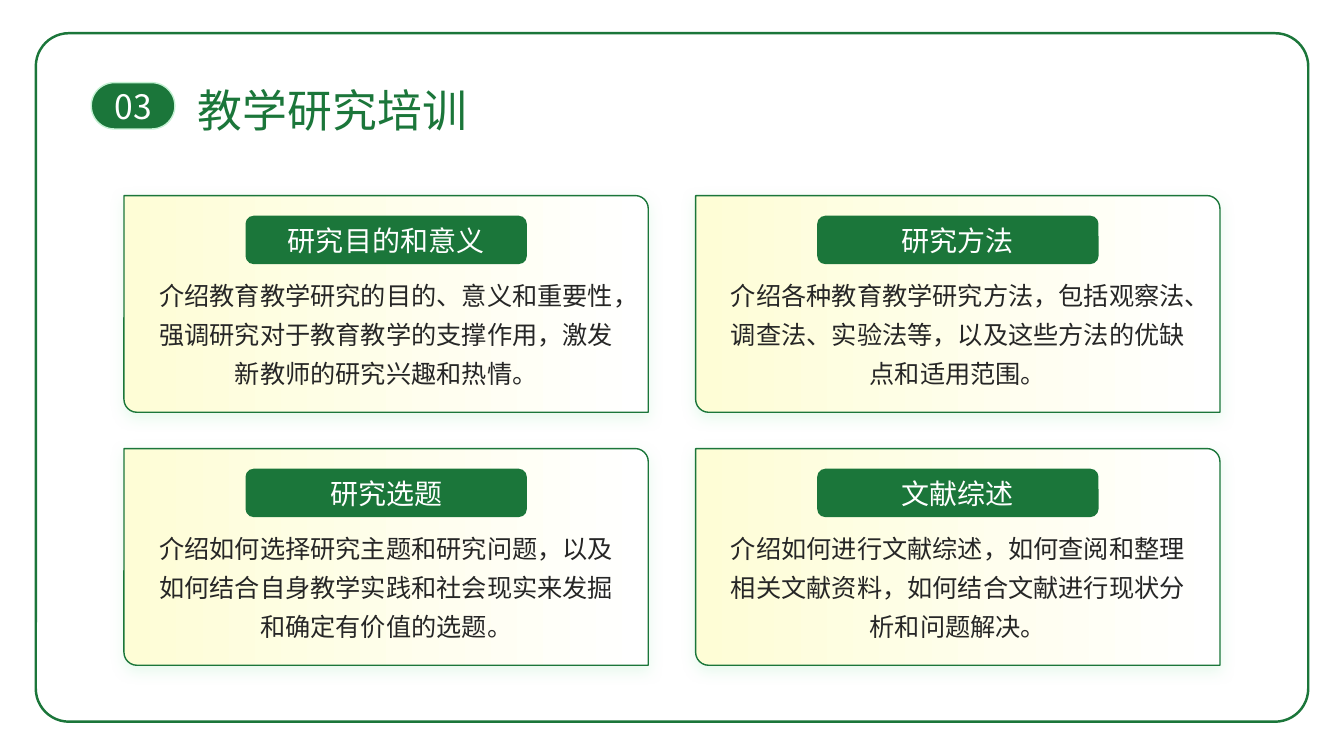
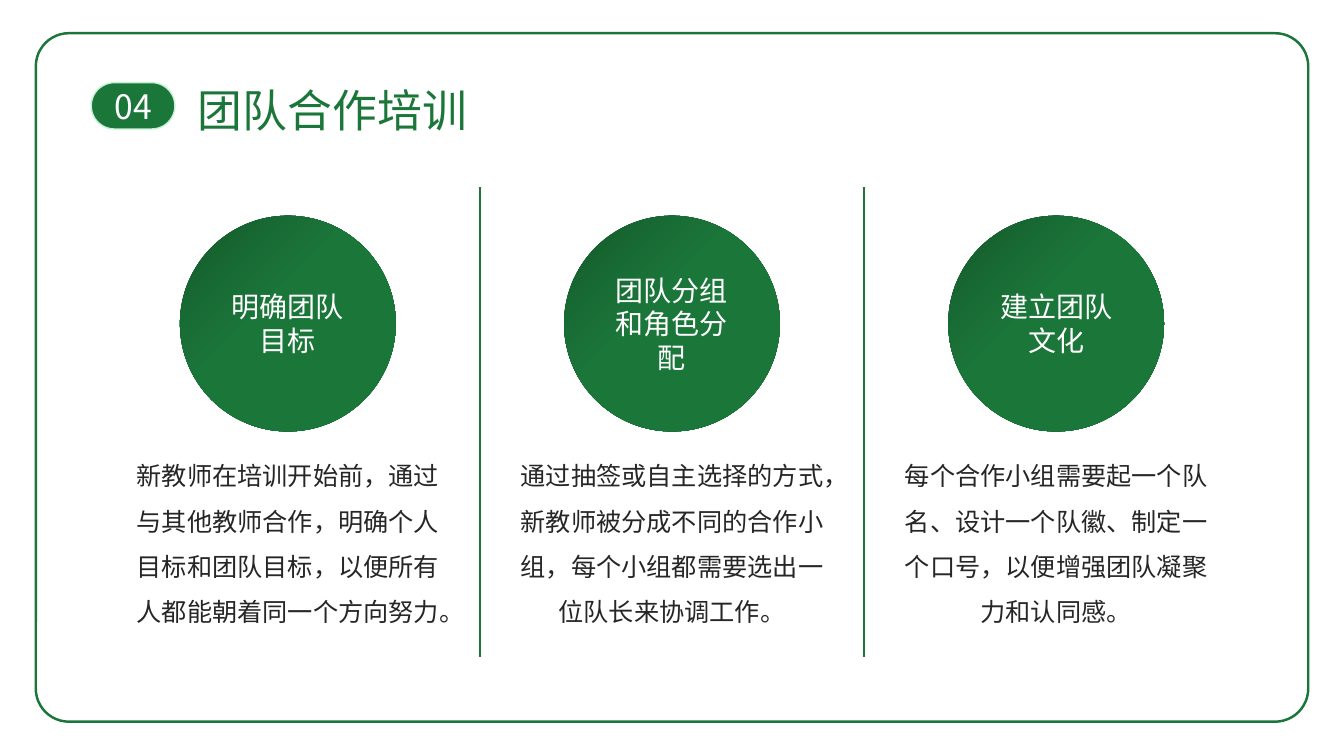
from lxml.etree import SubElement as Sub
from pptx import Presentation
from pptx.dml.color import RGBColor
from pptx.enum.shapes import MSO_CONNECTOR as Link, MSO_SHAPE as Kind
from pptx.enum.text import MSO_ANCHOR as Anchor, MSO_AUTO_SIZE as Auto, PP_ALIGN as Align
from pptx.oxml.ns import qn
from pptx.util import Inches, Pt

GREEN = RGBColor(0x1B, 0x76, 0x3A)
DARK = RGBColor(0x14, 0x59, 0x2B)
MINT = RGBColor(0xC4, 0xF1, 0xD3)
CREAM = RGBColor(0xFE, 0xFD, 0xD6)
WHITE = RGBColor(0xFF, 0xFF, 0xFF)
INK = RGBColor(0x26, 0x26, 0x26)
FONT = "Noto Sans CJK SC"

WIDE, HIGH = 13.33, 7.5
MID = WIDE / 2
CARD_COL, CARD_ROW = 5.67, 2.51
TEAM_COL = 3.81

CARDS = [
    ("研究目的和意义", "介绍教育教学研究的目的、意义和重要性，强调研究对于教育教学的支撑作用，激发新教师的研究兴趣和热情。"),
    ("研究方法", "介绍各种教育教学研究方法，包括观察法、调查法、实验法等，以及这些方法的优缺点和适用范围。"),
    ("研究选题", "介绍如何选择研究主题和研究问题，以及如何结合自身教学实践和社会现实来发掘和确定有价值的选题。"),
    ("文献综述", "介绍如何进行文献综述，如何查阅和整理相关文献资料，如何结合文献进行现状分析和问题解决。"),
]
TEAMS = [
    ("明确团队目标", "新教师在培训开始前，通过与其他教师合作，明确个人目标和团队目标，以便所有人都能朝着同一个方向努力。"),
    ("团队分组和角色分配", "通过抽签或自主选择的方式，新教师被分成不同的合作小组，每个小组都需要选出一位队长来协调工作。"),
    ("建立团队文化", "每个合作小组需要起一个队名、设计一个队徽、制定一个口号，以便增强团队凝聚力和认同感。"),
]


def area(mid, top, wide, high):
    return [Inches(n) for n in (mid - wide / 2, top, wide, high)]


def write(box, text, size, color, align=Align.CENTER, gap=None):
    frame = box.text_frame
    frame.word_wrap = True
    para = frame.paragraphs[0]
    para.text = text
    para.alignment = align
    para.line_spacing = gap
    font = para.font
    font.size, font.name = Pt(size), FONT
    font.color.rgb = color
    for props in box.element.iter(qn("a:defRPr")):
        Sub(props, qn("a:ea"), typeface=FONT)


def note(slide, place, text, size, color, **style):
    box = slide.shapes.add_textbox(*place)
    write(box, text, size, color, **style)
    box.text_frame.auto_size = Auto.SHAPE_TO_FIT_TEXT


def shape(slide, kind, place, fill=GREEN, line=None, width=1, bends=()):
    item = slide.shapes.add_shape(kind, *place)
    item.shadow.inherit = False
    item.fill.solid()
    item.fill.fore_color.rgb = fill
    if line is None:
        item.line.fill.background()
    else:
        item.line.color.rgb = line
        item.line.width = Pt(width)
    for i, bend in enumerate(bends):
        item.adjustments[i] = bend
    return item


def label(slide, kind, place, text, size=20, **style):
    item = shape(slide, kind, place, **style)
    write(item, text, size, WHITE)
    item.text_frame.vertical_anchor = Anchor.MIDDLE
    return item


def blend(item, *stops):
    item.fill.gradient()
    for stop, (spot, color) in zip(item.fill.gradient_stops, stops):
        stop.position = spot
        stop.color.rgb = color


def glow(item):
    base = item.element.spPr.find(qn("a:effectLst"))
    shade = Sub(base, qn("a:outerShdw"), blurRad=str(Pt(10)), dist=str(Pt(3)),
                dir="5400000", algn="t", rotWithShape="0")
    color = Sub(shade, qn("a:srgbClr"), val=str(MINT))
    Sub(color, qn("a:alpha"), val="40000")


def radial(item):
    grad = item.element.spPr.find(qn("a:gradFill"))
    grad.remove(grad.find(qn("a:lin")))
    ring = Sub(grad, qn("a:path"), path="circle")
    Sub(ring, qn("a:fillToRect"), l="100000", t="100000")


def rule(slide, x, top, end):
    line = slide.shapes.add_connector(
        Link.STRAIGHT, Inches(x), Inches(top), Inches(x), Inches(end))
    line.line.color.rgb = GREEN
    line.line.width = Pt(1)
    Sub(line.element.spPr, qn("a:effectLst"))


def border(slide):
    item = shape(slide, Kind.ROUNDED_RECTANGLE, area(MID, 0.33, 12.62, 6.83),
                 WHITE, GREEN, 1.75, [0.048])
    slide.slide_layout.shapes.element.append(item.element)


def head(slide, num, title):
    note(slide, area(4.06, 0.77, 4.39, 0.64), title, 32, GREEN, align=Align.LEFT)
    label(slide, Kind.ROUNDED_RECTANGLE, area(1.32, 0.82, 0.83, 0.46),
          num, 24, line=MINT, bends=[0.5])


def card(slide, mid, top, title, text):
    item = shape(slide, Kind.ROUND_2_DIAG_RECTANGLE, area(mid, top, 5.2, 2.15),
                 line=GREEN, bends=[0, 0.06])
    blend(item, (0, WHITE), (1, CREAM))
    item.fill.gradient_angle = 180
    glow(item)
    note(slide, area(mid, top + 0.7, 4.88, 1.25), text, 18, INK, gap=1.3)
    label(slide, Kind.ROUNDED_RECTANGLE, area(mid, top + 0.2, 2.79, 0.48), title)


def team(slide, mid, title, text):
    disc = label(slide, Kind.OVAL, area(mid, 2.14, 2.14, 2.14), title)
    blend(disc, (0.58, GREEN), (1, DARK))
    radial(disc)
    note(slide, area(mid, 4.37, 3.21, 1.87), text, 18, INK, gap=1.5)


def main():
    deck = Presentation()
    deck.slide_width, deck.slide_height = Inches(WIDE), Inches(HIGH)
    blank = deck.slide_layouts[6]

    study = deck.slides.add_slide(blank)
    border(study)
    head(study, "03", "教学研究培训")
    for i, (title, text) in enumerate(CARDS):
        row, col = divmod(i, 2)
        card(study, MID + (col - 0.5) * CARD_COL, 1.94 + row * CARD_ROW, title, text)

    group = deck.slides.add_slide(blank)
    head(group, "04", "团队合作培训")
    for i, (title, text) in enumerate(TEAMS):
        team(group, MID + (i - 1) * TEAM_COL, title, text)
    for side in (-0.5, 0.5):
        rule(group, MID + side * TEAM_COL, 1.86, 6.52)

    deck.save("out.pptx")


if __name__ == "__main__":
    main()
